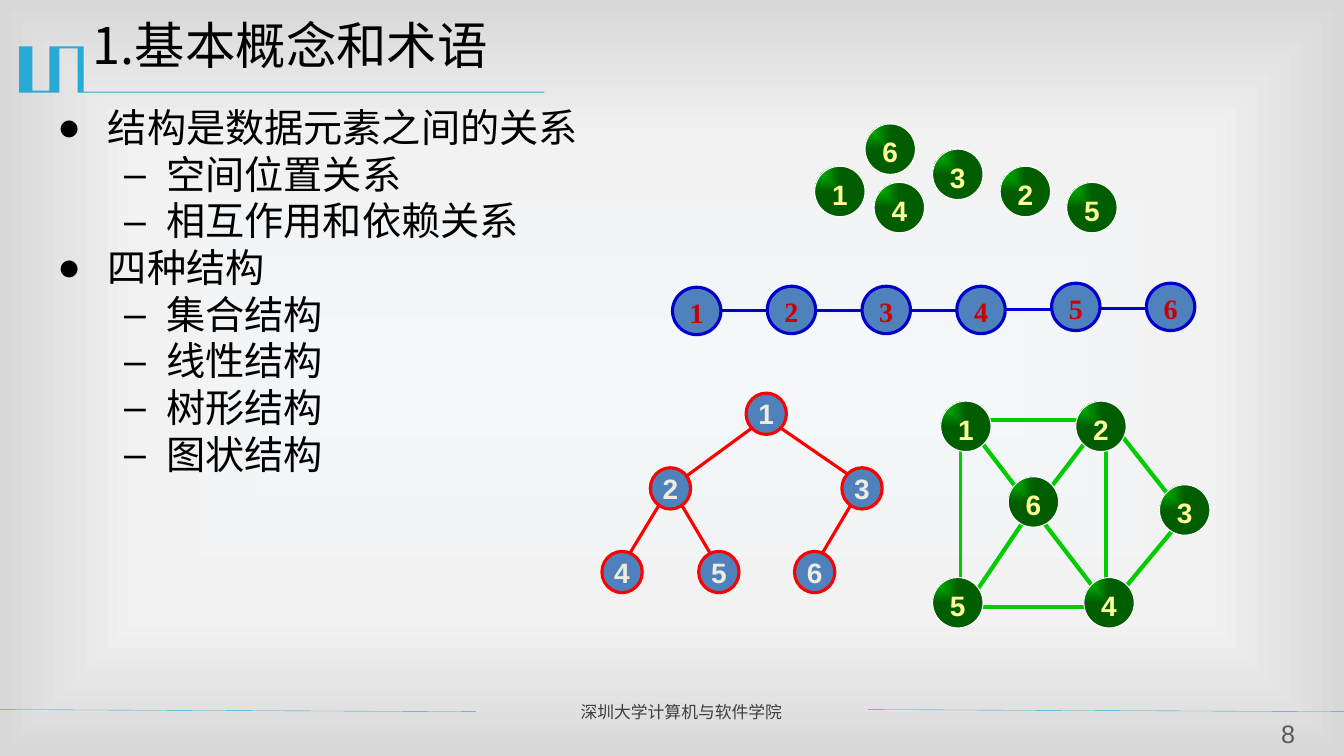
from collections import namedtuple

from pptx import Presentation
from pptx.dml.color import RGBColor
from pptx.enum.shapes import MSO_CONNECTOR, MSO_SHAPE
from pptx.enum.text import MSO_ANCHOR as ANCHOR, MSO_AUTO_SIZE as AUTO, PP_ALIGN as ALIGN
from pptx.oxml import parse_xml
from pptx.oxml.ns import nsdecls, qn
from pptx.util import Inches, Pt

BLACK = RGBColor(0x00, 0x00, 0x00)
WHITE = RGBColor(0xFF, 0xFF, 0xFF)
SKY = RGBColor(0x28, 0xA9, 0xD6)
STEEL = RGBColor(0x4F, 0x81, 0xBD)
NAVY = RGBColor(0x00, 0x00, 0xCC)
CRIMSON = RGBColor(0xCC, 0x00, 0x00)
RED = RGBColor(0xFF, 0x00, 0x00)
CREAM = RGBColor(0xEE, 0xEC, 0xE1)
GREEN = RGBColor(0x00, 0xCC, 0x00)
DARK_GREEN = RGBColor(0x00, 0x5E, 0x00)
YELLOW = RGBColor(0xFF, 0xFF, 0x99)
FOOTER_GREY = RGBColor(0x3F, 0x3F, 0x3F)
NUMBER_GREY = RGBColor(0x59, 0x59, 0x59)
BACKGROUND = [(0, RGBColor(0xF4, 0xF8, 0xFB)), (63, RGBColor(0xF2, 0xF2, 0xF2)),
              (100, RGBColor(0xD8, 0xD8, 0xD8))]
CJK = "Noto Sans CJK SC"

# Node look: fill is None for the green gradient; drop lowers the label
Look = namedtuple("Look", "w h fill line width font color drop")
BALL = Look(0.5, 0.5, None, WHITE, 0.75, "Arial", YELLOW, 0.05)
CHAIN = Look(0.48, 0.47, STEEL, NAVY, 2.25, "Times New Roman", CRIMSON, 0.02)
TREE = Look(0.4, 0.41, STEEL, RED, 2.25, "Arial", CREAM, 0)


class Slide:
    def __init__(self, prs):
        self.s = prs.slides.add_slide(prs.slide_layouts[1])
        self.shapes = self.s.shapes

    def group(self):
        self.shapes = self.s.shapes.add_group_shape().shapes

    def gradient(self, root, stops, to):
        grad = next(root.iter(qn("a:gradFill")))
        grad.clear()
        gs = "".join(f'<a:gs pos="{pos * 1000}"><a:srgbClr val="{color}"/></a:gs>'
                     for pos, color in stops)
        grad.append(parse_xml(f'<a:gsLst {nsdecls("a")}>{gs}</a:gsLst>'))
        sides = " ".join(f'{side}="{v * 1000}"' for side, v in zip("ltrb", to))
        grad.append(parse_xml(f'<a:path {nsdecls("a")} path="rect">'
                              f'<a:fillToRect {sides}/></a:path>'))

    def background(self, stops):
        self.s.background.fill.gradient()
        self.gradient(self.s.element, stops, (50, 50, 50, 50))

    def run(self, p, text, size, color, font="Arial", bold=False):
        r = p.add_run()
        r.text = text
        f = r.font
        f.size, f.bold, f.name, f.color.rgb = Pt(size), bold, font, color
        r.font._element.append(parse_xml(f'<a:ea {nsdecls("a")} typeface="{CJK}"/>'))

    def place(self, ph, x, y, w, h):
        ph.left, ph.top, ph.width, ph.height = map(Inches, (x, y, w, h))
        tf = ph.text_frame
        tf.word_wrap, tf.auto_size, tf.vertical_anchor = True, AUTO.NONE, ANCHOR.TOP
        return tf

    def title(self, text, *box):
        p = self.place(self.s.shapes.title, *box).paragraphs[0]
        p.alignment, p.line_spacing = ALIGN.LEFT, 0.9
        self.run(p, text, 36, BLACK, CJK)

    def bullets(self, items, *box):
        tf = self.place(self.s.placeholders[1], *box)
        for i, (level, text) in enumerate(items):
            p = tf.paragraphs[0] if i == 0 else tf.add_paragraph()
            p.level, p.line_spacing = level, 0.87
            p.space_before = Pt(4.1 if i else 0)
            margin, hang, char = [(0.5, 0.5, "●"), (1.08, 0.42, "–")][level]
            pPr = p._p.get_or_add_pPr()
            pPr.set("marL", str(Inches(margin)))
            pPr.set("indent", str(-Inches(hang)))
            pPr.append(parse_xml(f'<a:buFont {nsdecls("a")} typeface="Arial"/>'))
            pPr.append(parse_xml(f'<a:buChar {nsdecls("a")} char="{char}"/>'))
            self.run(p, text, 28, BLACK, "Arial" if level else CJK)

    def text(self, text, x, y, w, h, size, color, align, inset):
        tf = self.shapes.add_textbox(*map(Inches, (x, y, w, h))).text_frame
        tf.word_wrap = True
        tf.margin_left = tf.margin_right = Inches(inset)
        tf.margin_top = tf.margin_bottom = Inches(inset / 2)
        p = tf.paragraphs[0]
        p.alignment = align
        self.run(p, text, size, color)

    def line(self, x1, y1, x2, y2, color, width):
        c = self.shapes.add_connector(MSO_CONNECTOR.STRAIGHT, *map(Inches, (x1, y1, x2, y2)))
        c.line.color.rgb, c.line.width = color, Pt(width)
        c.element.spPr.append(parse_xml(f'<a:effectLst {nsdecls("a")}/>'))

    def outline(self, points, color):
        pts = [(Inches(x), Inches(y)) for x, y in points]
        fb = self.shapes.build_freeform(*pts[0])
        fb.add_line_segments(pts[1:], close=True)
        sp = fb.convert_to_shape()
        sp.shadow.inherit = False
        sp.fill.solid()
        sp.fill.fore_color.rgb = color
        sp.line.fill.background()

    def node(self, label, x, y, look):
        sp = self.shapes.add_shape(MSO_SHAPE.OVAL, *map(Inches, (x, y, look.w, look.h)))
        sp.shadow.inherit = False
        if look.fill is None:
            sp.fill.gradient()
            self.gradient(sp.element, [(0, GREEN), (100, DARK_GREEN)], (0, 0, 100, 100))
        else:
            sp.fill.solid()
            sp.fill.fore_color.rgb = look.fill
        sp.line.color.rgb, sp.line.width = look.line, Pt(look.width)
        tf = sp.text_frame
        tf.word_wrap, tf.vertical_anchor = False, ANCHOR.MIDDLE
        tf.margin_left = tf.margin_right = tf.margin_bottom = 0
        tf.margin_top = Inches(look.drop)
        p = tf.paragraphs[0]
        p.alignment = ALIGN.CENTER
        self.run(p, str(label), 20, look.color, look.font, True)

    def nodes(self, positions, look):
        for label, (x, y) in enumerate(positions, 1):
            self.node(label, x, y, look)


def main():
    prs = Presentation()
    prs.slide_width, prs.slide_height = Inches(13.33), Inches(7.5)
    s = Slide(prs)

    # Background, title ornament and footer
    s.background(BACKGROUND)
    s.outline([(0.82, 0.46), (0.83, 0.46), (0.83, 0.91), (5.4, 0.91), (5.4, 0.92),
               (0.77, 0.92), (0.77, 0.48), (0.59, 0.48), (0.59, 0.92), (0.19, 0.92),
               (0.19, 0.46), (0.32, 0.46), (0.32, 0.9), (0.49, 0.9), (0.49, 0.46)], SKY)
    for x in (-0.01, 8.61):
        s.line(x, 7.04, x + 4.73, 7.06, SKY, 0.25)
    s.text("深圳大学计算机与软件学院", 5.66, 6.91, 2.85, 0.3, 12, FOOTER_GREY, ALIGN.JUSTIFY, 0.1)
    s.text("8", 12.48, 7.13, 0.59, 0.31, 18, NUMBER_GREY, ALIGN.CENTER, 0)

    # Title and list
    s.title("1.基本概念和术语", 0.82, 0.16, 12, 0.87)
    s.bullets([(0, "结构是数据元素之间的关系"), (1, "空间位置关系"), (1, "相互作用和依赖关系"),
               (0, "四种结构"), (1, "集合结构"), (1, "线性结构"), (1, "树形结构"),
               (1, "图状结构")], 0.47, 1.04, 12.13, 5.63)

    # Tree
    s.group()
    for edge in [(7.72, 4.23, 8.43, 4.72), (7.48, 4.23, 6.69, 4.81), (6.69, 4.89, 7.08, 5.55),
                 (8.51, 4.89, 8.12, 5.55), (6.61, 4.89, 6.21, 5.55)]:
        s.line(*edge, RED, 2.25)
    s.nodes([(7.4, 3.9), (6.45, 4.64), (8.35, 4.64), (5.97, 5.47), (6.93, 5.47),
             (7.88, 5.47)], TREE)

    # Set
    s.group()
    s.nodes([(8.08, 1.65), (9.92, 1.65), (9.25, 1.48), (8.67, 1.81), (10.58, 1.81),
             (8.58, 1.23)], BALL)

    # Linear chain
    s.group()
    xs = [6.67 + 0.94 * i for i in range(6)]
    for x, y in zip(xs, (3.08, 3.08, 3.08, 3.07, 3.06)):
        s.line(x + CHAIN.w, y, x + 0.94, y, NAVY, 2.25)
    s.nodes(zip(xs, (2.85, 2.84, 2.84, 2.84, 2.81, 2.81)), CHAIN)

    # Graph
    s.group()
    for edge in [(10.84, 4.29, 10.38, 4.89), (11.69, 5.19, 11.1, 5.9), (10.18, 5.13, 9.66, 5.9),
                 (10.31, 5.13, 10.9, 5.9), (9.73, 6.02, 10.77, 6.02), (9.73, 4.17, 10.77, 4.17),
                 (11.1, 4.29, 11.62, 4.95), (9.66, 4.29, 10.12, 4.89)]:
        s.line(*edge, GREEN, 3)
    for x in (9.53, 10.97):
        s.line(x, 4.35, x, 5.84, GREEN, 2.25)
    s.nodes([(9.33, 3.98), (10.67, 3.98), (11.5, 4.81), (10.75, 5.73), (9.25, 5.73),
             (10, 4.73)], BALL)

    prs.save("out.pptx")


if __name__ == "__main__":
    main()
